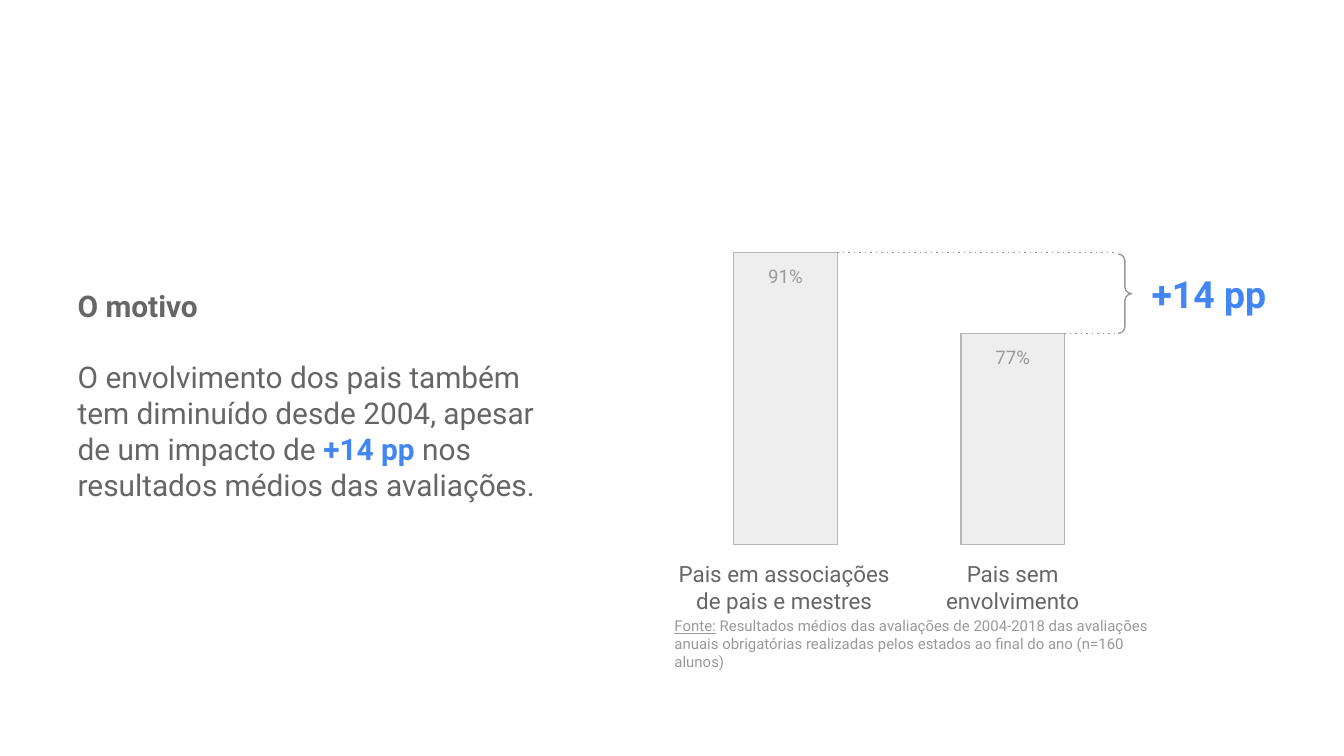
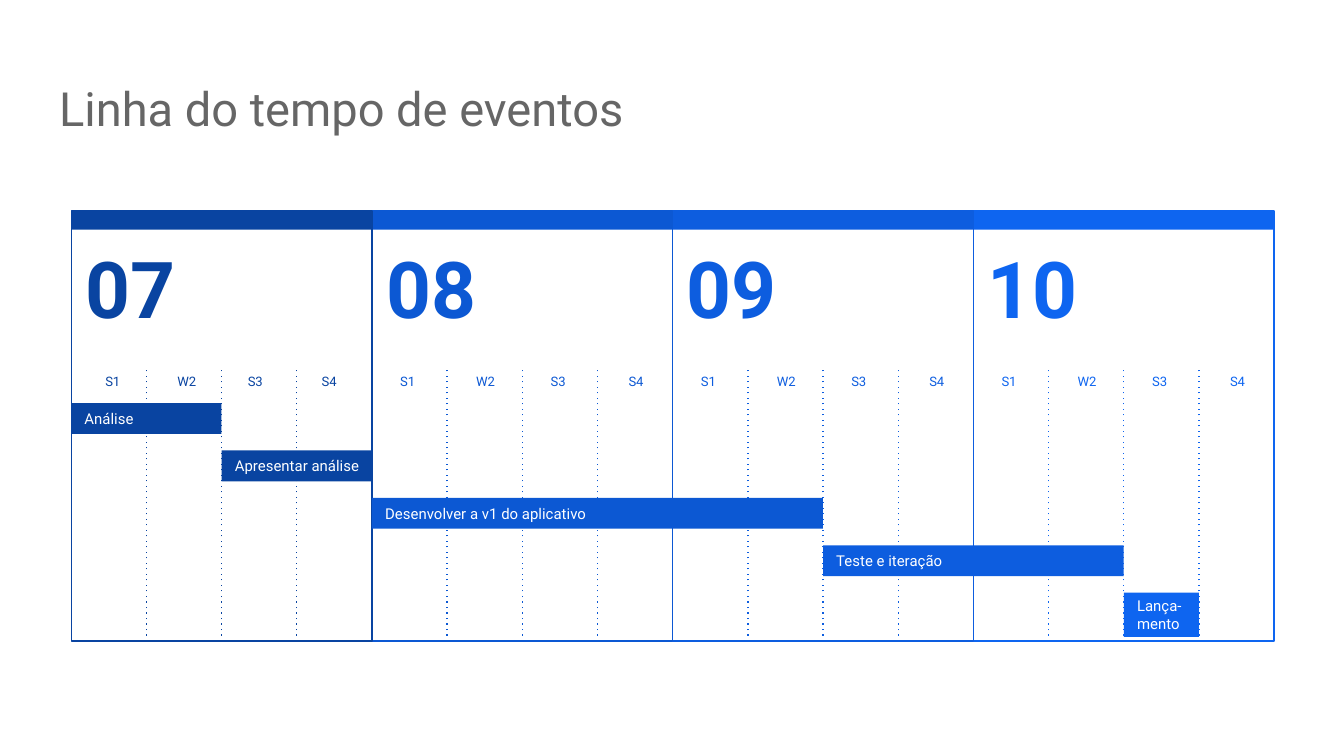
from dataclasses import dataclass
from typing import NamedTuple, Optional

from lxml import etree
from pptx import Presentation
from pptx.dml.color import RGBColor
from pptx.enum.dml import MSO_LINE
from pptx.enum.shapes import MSO_CONNECTOR, MSO_SHAPE
from pptx.enum.text import MSO_ANCHOR, MSO_AUTO_SIZE, PP_ALIGN
from pptx.oxml.ns import qn
from pptx.util import Inches, Pt

RECT = MSO_SHAPE.RECTANGLE
BRACE = MSO_SHAPE.RIGHT_BRACE
STRAIGHT = MSO_CONNECTOR.STRAIGHT
DOTTED = MSO_LINE.ROUND_DOT
LEFT, CENTER = PP_ALIGN.LEFT, PP_ALIGN.CENTER
TOP, MIDDLE = MSO_ANCHOR.TOP, MSO_ANCHOR.MIDDLE
FIXED = MSO_AUTO_SIZE.NONE

FONT = "Roboto"
TEXT = RGBColor(0x66, 0x66, 0x66)
MUTED = RGBColor(0x99, 0x99, 0x99)
ACCENT = RGBColor(0x42, 0x85, 0xF4)
BAR_FILL = RGBColor(0xEE, 0xEE, 0xEE)
BAR_LINE = RGBColor(0xB7, 0xB7, 0xB7)
WHITE = RGBColor(0xFF, 0xFF, 0xFF)
NAVY = RGBColor(0x09, 0x44, 0xA1)
ROYAL = RGBColor(0x0C, 0x58, 0xD3)
COBALT = RGBColor(0x0D, 0x5D, 0xDF)
AZURE = RGBColor(0x0E, 0x65, 0xF0)

SLIDE_WIDTH = Inches(10)
SLIDE_HEIGHT = SLIDE_WIDTH * 9 // 16
LINE_WIDTH = Pt(0.75)
INSET = 0.1


class Box(NamedTuple):
    left: float
    top: float
    width: float
    height: float

    def lengths(self) -> list:
        return [Inches(v) for v in self]


@dataclass
class TextStyle:
    size: float
    color: RGBColor
    bold: bool = False
    align: PP_ALIGN = LEFT
    anchor: MSO_ANCHOR = TOP


@dataclass
class ResultBar:
    box: Box
    value: str
    label: str
    label_box: Box


@dataclass
class Month:
    number: str
    color: RGBColor
    week_offsets: tuple
    label_width: float


@dataclass
class Task:
    name: str
    start_week: int
    weeks: int
    color: RGBColor
    height: float = 0.23


RESULT_BARS = [
    ResultBar(Box(5.46, 1.88, 0.77, 2.17), "91%",
              "Pais em associações de pais e mestres", Box(4.89, 4.07, 1.89, 0.61)),
    ResultBar(Box(7.15, 2.48, 0.77, 1.57), "77%",
              "Pais sem envolvimento", Box(6.65, 4.07, 1.77, 0.4)),
]

WEEKS = ["S1", "W2", "S3", "S4"]
WEEK_OFFSETS = (0.07, 0.65, 1.19, 1.77)
MONTHS = [
    Month("07", NAVY, (0.13, 0.68, 1.19, 1.74), 0.36),
    Month("08", ROYAL, WEEK_OFFSETS, 0.39),
    Month("09", COBALT, WEEK_OFFSETS, 0.39),
    Month("10", AZURE, WEEK_OFFSETS, 0.39),
]
TASKS = [
    Task("Análise", 0, 2, NAVY),
    Task("Apresentar análise", 2, 2, NAVY),
    Task("Desenvolver a v1 do aplicativo", 4, 6, ROYAL),
    Task("Teste e iteração", 10, 4, COBALT),
    Task("Lança-mento", 14, 1, AZURE, 0.33),
]

GRID = Box(0.53, 1.57, 8.95, 3.2)
MONTH_WIDTH = GRID.width / len(MONTHS)
WEEK_WIDTH = MONTH_WIDTH / len(WEEKS)
WEEKS_TOP = 2.74
TASKS_TOP, LAST_TASK_TOP = 3.0, 4.41
TASK_STEP = (LAST_TASK_TOP - TASKS_TOP) / (len(TASKS) - 1)


def format_paragraph(p, style: TextStyle) -> None:
    p.alignment = style.align
    p.font.name = FONT
    p.font.size = Pt(style.size)
    p.font.bold = style.bold
    p.font.color.rgb = style.color


def set_text(shape, text: str, style: TextStyle, right_inset: float = INSET):
    tf = shape.text_frame
    tf.word_wrap = True
    tf.auto_size = FIXED
    tf.vertical_anchor = style.anchor
    tf.margin_left = tf.margin_top = tf.margin_bottom = Inches(INSET)
    tf.margin_right = Inches(right_inset)
    p = tf.paragraphs[0]
    p.text = text
    format_paragraph(p, style)
    return tf


def add_text(s, box: Box, text: str, style: TextStyle):
    return set_text(s.shapes.add_textbox(*box.lengths()), text, style)


def add_shape(s, kind: MSO_SHAPE, box: Box, fill: Optional[RGBColor] = None,
              line: Optional[RGBColor] = None):
    sp = s.shapes.add_shape(kind, *box.lengths())
    sp.shadow.inherit = False
    if fill is None:
        sp.fill.background()
    else:
        sp.fill.solid()
        sp.fill.fore_color.rgb = fill
    if line is None:
        sp.line.fill.background()
    else:
        sp.line.color.rgb = line
        sp.line.width = LINE_WIDTH
    return sp


def add_dotted_line(s, x1: float, y1: float, x2: float, y2: float,
                    color: RGBColor) -> None:
    line = s.shapes.add_connector(
        STRAIGHT, Inches(x1), Inches(y1), Inches(x2), Inches(y2))
    line.line.color.rgb = color
    line.line.width = LINE_WIDTH
    line.line.dash_style = DOTTED
    spPr = line.element.spPr
    spPr.find(".//" + qn("a:prstDash")).set("val", "dot")
    etree.SubElement(spPr, qn("a:effectLst"))


def add_reason(s) -> None:
    tf = add_text(s, Box(0.48, 2.04, 3.84, 1.55), "O motivo",
                  TextStyle(16, TEXT, bold=True))
    p = tf.add_paragraph()
    p.space_before = Pt(19)
    format_paragraph(p, TextStyle(16, TEXT))
    p.add_run().text = ("O envolvimento dos pais também tem diminuído desde 2004, "
                        "apesar de um impacto de ")
    r = p.add_run()
    r.text = "+14 pp "
    r.font.bold = True
    r.font.color.rgb = ACCENT
    p.add_run().text = "nos resultados médios das avaliações."


def add_source(s) -> None:
    tf = add_text(s, Box(4.92, 4.49, 3.74, 0.47), "Fonte:", TextStyle(8, MUTED))
    p = tf.paragraphs[0]
    p.runs[0].font.underline = True
    p.add_run().text = (" Resultados médios das avaliações de 2004-2018 das avaliações "
                        "anuais obrigatórias realizadas pelos estados ao final do ano "
                        "(n=160 alunos)")


def build_reason_slide(prs) -> None:
    s = prs.slides.add_slide(prs.slide_layouts[6])
    add_reason(s)
    add_source(s)
    brace = Box(8.32, 1.89, 0.1, 0.59)
    for bar in RESULT_BARS:
        box = bar.box
        add_shape(s, RECT, box, BAR_FILL, BAR_LINE)
        add_text(s, box._replace(top=box.top - 0.01, height=0.37), bar.value,
                 TextStyle(10, MUTED, align=CENTER))
        add_text(s, bar.label_box, bar.label, TextStyle(12, TEXT, align=CENTER))
        add_dotted_line(s, box.left + box.width, box.top, brace.left - 0.01, box.top, MUTED)
    sp = add_shape(s, BRACE, brace, line=MUTED)
    sp.adjustments[0] = 0.5
    sp.adjustments[1] = 0.5
    add_text(s, Box(8.42, 1.92, 1.15, 0.54), "+14 pp",
             TextStyle(20, ACCENT, bold=True, align=CENTER))


def add_month(s, month: Month, left: float) -> None:
    color = month.color
    frame = GRID._replace(left=left, width=MONTH_WIDTH)
    add_shape(s, RECT, frame, line=color)
    add_shape(s, RECT, frame._replace(height=0.14), color)
    add_text(s, Box(left, 1.7, 0.88, 0.87), month.number,
             TextStyle(42, color, bold=True, align=CENTER, anchor=MIDDLE))
    for week, offset in zip(WEEKS, month.week_offsets):
        add_text(s, Box(left + offset, WEEKS_TOP, month.label_width, 0.2), week,
                 TextStyle(7, color, align=CENTER, anchor=MIDDLE))
    for i in range(1, len(WEEKS)):
        x = left + i * WEEK_WIDTH
        add_dotted_line(s, x, GRID.top + GRID.height, x, WEEKS_TOP, color)


def build_timeline_slide(prs) -> None:
    s = prs.slides.add_slide(prs.slide_layouts[5])
    title = s.shapes.title
    title.left, title.top, title.width, title.height = Box(0.34, 0.49, 9.32, 0.63).lengths()
    set_text(title, "Linha do tempo de eventos", TextStyle(25.2, TEXT))
    for i, month in reversed(list(enumerate(MONTHS))):
        add_month(s, month, GRID.left + i * MONTH_WIDTH)
    for i, task in enumerate(TASKS):
        box = Box(GRID.left + task.start_week * WEEK_WIDTH, TASKS_TOP + i * TASK_STEP,
                  task.weeks * WEEK_WIDTH, task.height)
        set_text(add_shape(s, RECT, box, task.color), task.name,
                 TextStyle(8, WHITE, anchor=MIDDLE), right_inset=0.05)


def main() -> None:
    prs = Presentation()
    prs.slide_width, prs.slide_height = SLIDE_WIDTH, SLIDE_HEIGHT
    build_reason_slide(prs)
    build_timeline_slide(prs)
    prs.save("out.pptx")


if __name__ == "__main__":
    main()
